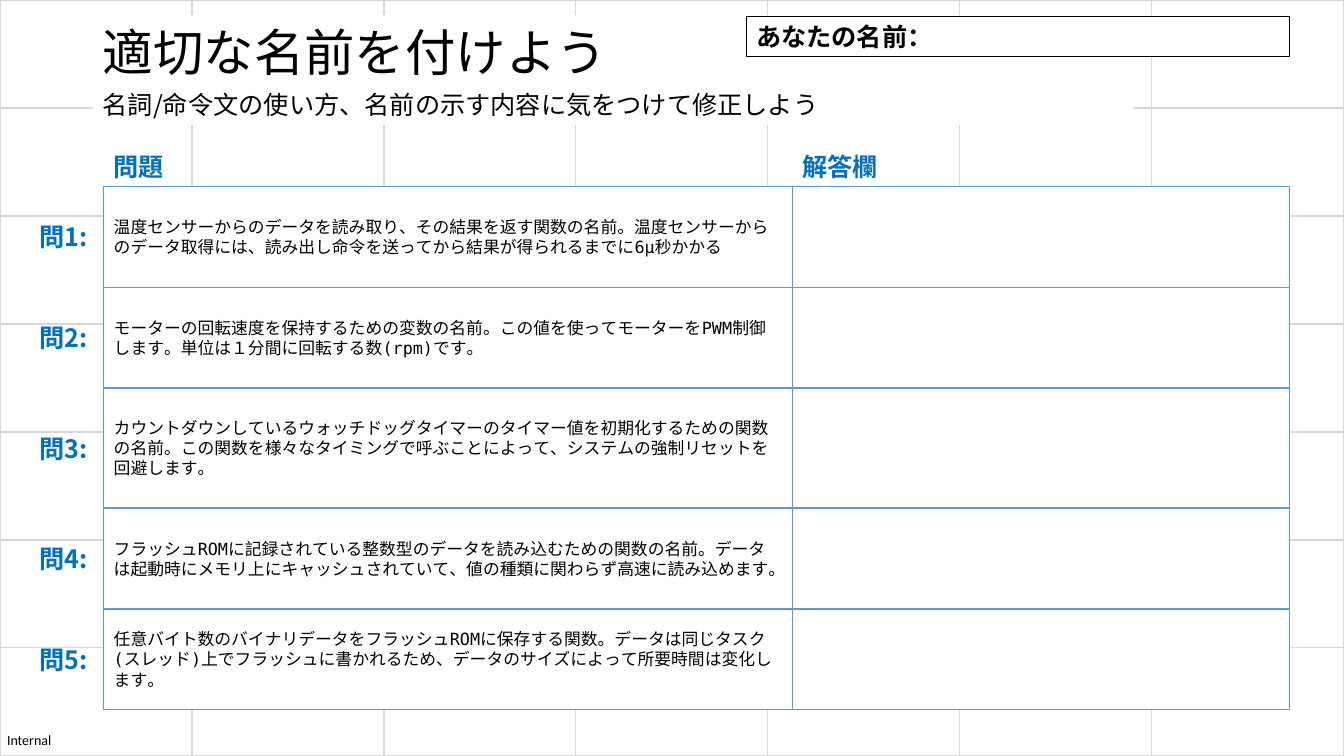
from lxml import etree
from pptx import Presentation
from pptx.dml.color import RGBColor
from pptx.enum import shapes, text
from pptx.oxml import ns
from pptx.util import Inches, Pt

WHITE = RGBColor(0xFF, 0xFF, 0xFF)
BLACK = RGBColor(0x00, 0x00, 0x00)
GRID_GRAY = RGBColor(0xD9, 0xD9, 0xD9)
BORDER_BLUE = RGBColor(0x5B, 0x9B, 0xD5)
LABEL_BLUE = RGBColor(0x00, 0x70, 0xC0)
JAPANESE_FONT = "Noto Sans CJK JP"
MONO_FONT = "DejaVu Sans Mono"

QUESTIONS = [
    (1, "温度センサーからのデータを読み取り、その結果を返す関数の名前。温度センサーからのデータ取得には、読み出し命令を送ってから結果が得られるまでに6μ秒かかる"),
    (1, "モーターの回転速度を保持するための変数の名前。この値を使ってモーターをPWM制御します。単位は１分間に回転する数(rpm)です。"),
    (1.19, "カウントダウンしているウォッチドッグタイマーのタイマー値を初期化するための関数の名前。この関数を様々なタイミングで呼ぶことによって、システムの強制リセットを回避します。"),
    (1, "フラッシュROMに記録されている整数型のデータを読み込むための関数の名前。データは起動時にメモリ上にキャッシュされていて、値の種類に関わらず高速に読み込めます。"),
    (1, "任意バイト数のバイナリデータをフラッシュROMに保存する関数。データは同じタスク(スレッド)上でフラッシュに書かれるため、データのサイズによって所要時間は変化します。"),
]
QUESTION_LEFT, QUESTION_WIDTH = 1.03, 6.83
ANSWER_LEFT, ANSWER_WIDTH = 7.86, 4.93
GRID_SIZE = 7


def write(box, wording, size, color=BLACK, bold=False, font=JAPANESE_FONT):
    frame = box.text_frame
    frame.text = wording
    frame.word_wrap = True
    frame.auto_size = text.MSO_AUTO_SIZE.NONE
    frame.vertical_anchor = text.MSO_ANCHOR.MIDDLE
    para = frame.paragraphs[0]
    para.alignment = text.PP_ALIGN.LEFT
    span = para.runs[0]
    span.font.size = Pt(size)
    span.font.bold = bold
    span.font.color.rgb = color
    span.font.name = font
    east_asian = etree.SubElement(span.font._element, ns.qn("a:ea"))
    east_asian.set("typeface", font)
    return para


def add_panel(page, left, top, width, height, line_color, line_width):
    panel = page.shapes.add_shape(
        shapes.MSO_SHAPE.RECTANGLE, Inches(left), Inches(top), Inches(width), Inches(height))
    panel.shadow.inherit = False
    panel.fill.solid()
    panel.fill.fore_color.rgb = WHITE
    panel.line.color.rgb = line_color
    panel.line.width = Pt(line_width)
    return panel


deck = Presentation()
deck.slide_width, deck.slide_height = Inches(13.33), Inches(7.5)
page = deck.slides.add_slide(deck.slide_layouts[5])

grid = page.shapes.add_table(
    GRID_SIZE, GRID_SIZE, 0, 0, deck.slide_width, deck.slide_height)
for cell in grid.table.iter_cells():
    cell.fill.solid()
    cell.fill.fore_color.rgb = WHITE
    properties = cell._tc.get_or_add_tcPr()
    for position, side in enumerate(("lnL", "lnR", "lnT", "lnB")):
        border = etree.Element(ns.qn(f"a:{side}"), w=str(Pt(1)))
        fill = etree.SubElement(border, ns.qn("a:solidFill"))
        etree.SubElement(fill, ns.qn("a:srgbClr"), val=str(GRID_GRAY))
        properties.insert(position, border)

footer = page.shapes.add_textbox(Inches(0.07), Inches(7.26), Inches(0.47), Inches(0.17))
write(footer, "Internal", 10, font="Calibri")
frame = footer.text_frame
frame.word_wrap = False
frame.margin_left = frame.margin_right = frame.margin_top = frame.margin_bottom = 0

title = page.shapes.title
title.left, title.top, title.width, title.height = (
    Inches(0.92), Inches(0.15), Inches(9.08), Inches(0.71))
write(title, "適切な名前を付けよう", 36)
page.shapes.element.append(title.element)

subtitle = page.shapes.add_textbox(Inches(0.92), Inches(0.86), Inches(10.32), Inches(0.38))
para = write(subtitle, "名詞/命令文の使い方、名前の示す内容に気をつけて修正しよう", 18)
para.line_spacing = 0.9
for heading in (title, subtitle):
    heading.fill.solid()
    heading.fill.fore_color.rgb = WHITE

name_box = add_panel(page, 7.4, 0.16, 5.39, 0.4, BLACK, 0.75)
write(name_box, "あなたの名前：", 18, bold=True)

for left, heading in ((QUESTION_LEFT, "問題"), (ANSWER_LEFT, "解答欄")):
    box = page.shapes.add_textbox(Inches(left), Inches(1.45), Inches(1.15), Inches(0.4))
    write(box, heading, 18, LABEL_BLUE, bold=True)

top = 1.85
for number, (height, question) in enumerate(QUESTIONS, 1):
    add_panel(page, ANSWER_LEFT, top, ANSWER_WIDTH, height, BORDER_BLUE, 1)
    panel = add_panel(page, QUESTION_LEFT, top, QUESTION_WIDTH, height, BORDER_BLUE, 1)
    write(panel, question, 12, font=MONO_FONT)
    label = page.shapes.add_textbox(
        Inches(0.29), Inches(top + (height - 0.4) / 2), Inches(0.74), Inches(0.4))
    write(label, f"問{number}:", 18, LABEL_BLUE, bold=True)
    label.text_frame.margin_right = 0
    top += height

deck.save("out.pptx")
